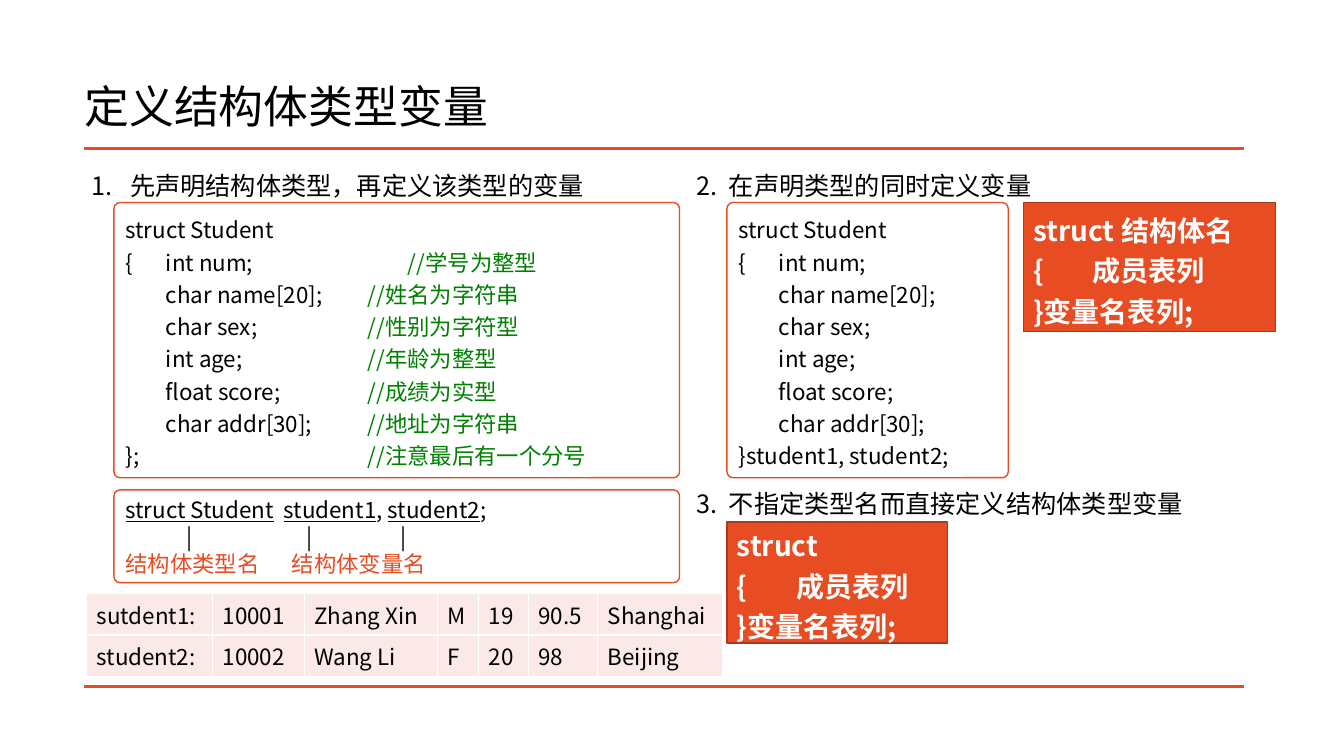
from dataclasses import dataclass

from lxml.etree import SubElement
from pptx import Presentation
from pptx.dml.color import RGBColor
from pptx.enum.shapes import MSO_CONNECTOR, MSO_SHAPE
from pptx.enum.text import MSO_ANCHOR, PP_ALIGN
from pptx.oxml.ns import qn
from pptx.util import Inches, Pt

FONT = "Noto Sans CJK SC"
BLACK, WHITE, GREEN = "000000", "FFFFFF", "008000"
ORANGE, RUST, PINK = "E84C22", "AC3819", "FBE9E8"


def rgb(value):
    """Turn a hex string into a colour."""
    return RGBColor.from_string(value)


def add_line_fill(line, color):
    """Give a raw line element a solid colour."""
    fill = SubElement(line, qn("a:solidFill"))
    SubElement(fill, qn("a:srgbClr"), val=color)


@dataclass
class Span:
    """A piece of text with its own look."""
    text: str
    color: str = ""
    underline: bool = False


@dataclass
class Line:
    """One paragraph: its spans, tab stops in inches and optional number."""
    spans: list
    tabs: tuple = ()
    number: int = 0
    indent: float = 0


def plain(text, tabs=()):
    """Make a line with one span."""
    return Line([Span(text)], tabs)


class Page:
    """Holds the style and the current slide."""

    def __init__(self, deck):
        """Add a blank slide to the deck."""
        self.slide = deck.slides.add_slide(deck.slide_layouts[6])
        self.shapes = self.slide.shapes

    def style(self, para, size, color, bold=False):
        """Set the font of a whole paragraph, for Latin and Chinese text."""
        font = para.font
        font.size, font.bold, font.name = Pt(size), bold, FONT
        font.color.rgb = rgb(color)
        properties = para._p.get_or_add_pPr().find(qn("a:defRPr"))
        SubElement(properties, qn("a:ea"), typeface=FONT)

    def fill_text(self, frame, lines, size, color, bold=False, spacing=1.0):
        """Fill a text frame with lines."""
        frame.word_wrap = True
        for index, line in enumerate(lines):
            para = frame.paragraphs[0] if index == 0 else frame.add_paragraph()
            para.alignment, para.line_spacing = PP_ALIGN.LEFT, spacing
            layout = para._p.get_or_add_pPr()
            if line.number:
                layout.set("marL", str(Inches(line.indent)))
                layout.set("indent", str(-Inches(line.indent)))
                SubElement(layout, qn("a:buFont"), typeface=FONT)
                SubElement(layout, qn("a:buAutoNum"), type="arabicPeriod",
                           startAt=str(line.number))
            if line.tabs:
                stops = SubElement(layout, qn("a:tabLst"))
                for stop in line.tabs:
                    SubElement(stops, qn("a:tab"), pos=str(Inches(stop)), algn="l")
            self.style(para, size, color, bold)
            for span in line.spans:
                run = para.add_run()
                run.text = span.text
                if span.color:
                    run.font.color.rgb = rgb(span.color)
                if span.underline:
                    run.font.underline = True

    def text(self, left, top, width, height, lines, size, inset=0.0, spacing=1.0):
        """Add a text box with its text in the middle."""
        box = self.shapes.add_textbox(*map(Inches, (left, top, width, height)))
        frame = box.text_frame
        frame.margin_left = frame.margin_right = Inches(inset)
        frame.margin_top = frame.margin_bottom = 0
        frame.vertical_anchor = MSO_ANCHOR.MIDDLE
        self.fill_text(frame, lines, size, BLACK, spacing=spacing)

    def heading(self, left, top, number, text, indent):
        """Add a numbered heading."""
        line = Line([Span(text)], number=number, indent=indent)
        self.text(left, top, 5.6, 0.36, [line], 18)

    def panel(self, kind, left, top, width, height, fill, border):
        """Add a filled shape and return it."""
        box = self.shapes.add_shape(kind, *map(Inches, (left, top, width, height)))
        box.shadow.inherit = False
        box.fill.solid()
        box.fill.fore_color.rgb = rgb(fill)
        box.line.color.rgb, box.line.width = rgb(border), Pt(1)
        box.text_frame.vertical_anchor = MSO_ANCHOR.MIDDLE
        return box

    def code(self, left, top, width, height, lines, spacing=1.2):
        """Add a rounded white panel with code."""
        box = self.panel(MSO_SHAPE.ROUNDED_RECTANGLE, left, top, width, height,
                         WHITE, ORANGE)
        box.adjustments[0] = 0.06 / height
        self.fill_text(box.text_frame, lines, 16, BLACK, spacing=spacing)

    def syntax(self, left, top, width, height, first):
        """Add an orange panel with a general form."""
        box = self.panel(MSO_SHAPE.RECTANGLE, left, top, width, height, ORANGE, RUST)
        lines = [plain(first), plain("{\t成员表列", (0.59,)), plain("}变量名表列;")]
        self.fill_text(box.text_frame, lines, 20, WHITE, bold=True, spacing=1.2)

    def rule(self, top):
        """Add a horizontal rule across the page."""
        line = self.shapes.add_connector(MSO_CONNECTOR.STRAIGHT, Inches(0.83),
                                         Inches(top), Inches(12.34), Inches(top))
        line.line.color.rgb, line.line.width = rgb(ORANGE), Pt(2)
        SubElement(line._element.spPr, qn("a:effectLst"))

    def table(self, left, top, widths, row_height, rows):
        """Add a table with white cell borders."""
        grid = self.shapes.add_table(
            len(rows), len(widths), Inches(left), Inches(top),
            Inches(sum(widths)), Inches(row_height * len(rows))).table
        grid.first_row = grid.horz_banding = False
        for column, width in zip(grid.columns, widths):
            column.width = Inches(width)
        for row, values in zip(grid.rows, rows):
            row.height = Inches(row_height)
            for cell, value in zip(row.cells, values):
                properties = cell._tc.get_or_add_tcPr()
                for side in ("lnL", "lnR", "lnT", "lnB"):
                    border = SubElement(properties, qn(f"a:{side}"), w=str(Pt(1)))
                    add_line_fill(border, WHITE)
                cell.fill.solid()
                cell.fill.fore_color.rgb = rgb(PINK)
                self.fill_text(cell.text_frame, [plain(value)], 16, BLACK)


deck = Presentation()
deck.slide_width, deck.slide_height = Inches(13.33), Inches(7.5)
page = Page(deck)

page.text(0.74, 0.36, 11.5, 1.45, [plain("定义结构体类型变量")], 32, 0.1, 0.9)
for rule_top in (1.47, 6.81):
    page.rule(rule_top)

page.heading(0.91, 1.66, 1, "先声明结构体类型，再定义该类型的变量", 0.38)
page.heading(6.91, 1.66, 2, "在声明类型的同时定义变量", 0.32)
page.heading(6.91, 4.81, 3, "不指定类型名而直接定义结构体类型变量", 0.32)

members = [
    ("{\tint num;", "学号为整型"),
    ("\tchar name[20];", "姓名为字符串"),
    ("\tchar sex;", "性别为字符型"),
    ("\tint age;", "年龄为整型"),
    ("\tfloat score;", "成绩为实型"),
    ("\tchar addr[30];", "地址为字符串"),
]
commented = [plain("struct Student")]
for member, note in members:
    note_stop = 2.8 if member.startswith("{") else 2.4
    commented.append(Line([Span(member + "\t"), Span("//" + note, GREEN)],
                          (0.4, note_stop)))
commented.append(Line([Span("};\t"), Span("//注意最后有一个分号", GREEN)], (2.4,)))
page.code(1.13, 2.01, 5.61, 2.73, commented)

combined = [plain("struct Student")]
combined += [plain(member, (0.4,)) for member, _ in members]
combined.append(plain("}student1, student2;"))
page.code(7.21, 2.01, 2.79, 2.73, combined)

definition = [
    Line([Span("struct Student", underline=True), Span("  "),
          Span("student1", underline=True), Span(", "),
          Span("student2", underline=True), Span(";")]),
    plain("\t|\t|\t|", (0.6, 1.79, 2.73)),
    Line([Span("结构体类型名\t结构体变量名", ORANGE)], (1.65,)),
]
page.code(1.13, 4.86, 5.61, 0.92, definition, spacing=1.0)

page.table(0.86, 5.89, (1.25, 0.91, 1.32, 0.41, 0.49, 0.69, 1.24), 0.41, [
    ("sutdent1:", "10001", "Zhang Xin", "M", "19", "90.5", "Shanghai"),
    ("student2:", "10002", "Wang Li", "F", "20", "98", "Beijing"),
])

page.syntax(10.15, 2.01, 2.5, 1.28, "struct 结构体名")
page.syntax(7.21, 5.18, 2.19, 1.2, "struct")

deck.save("out.pptx")
